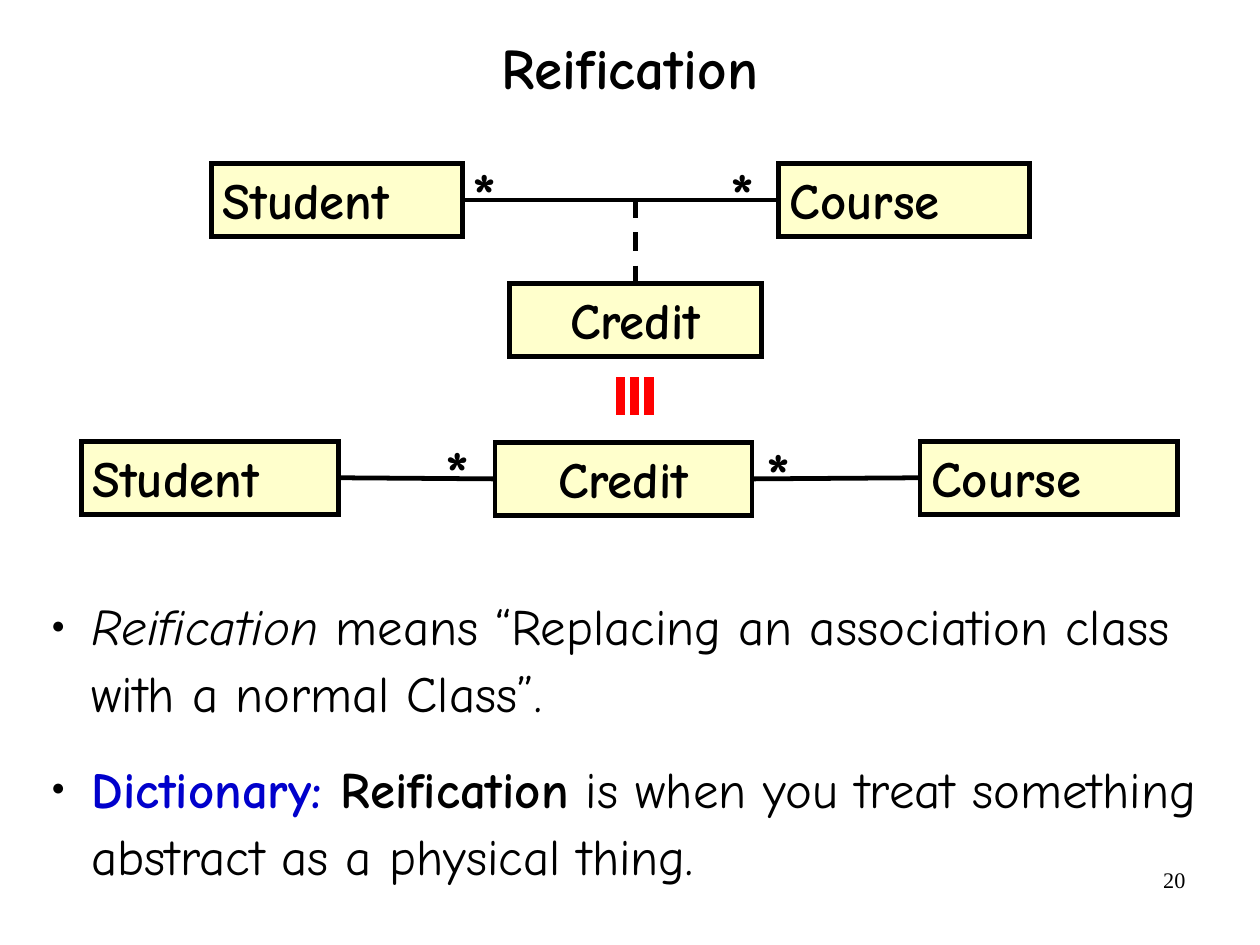
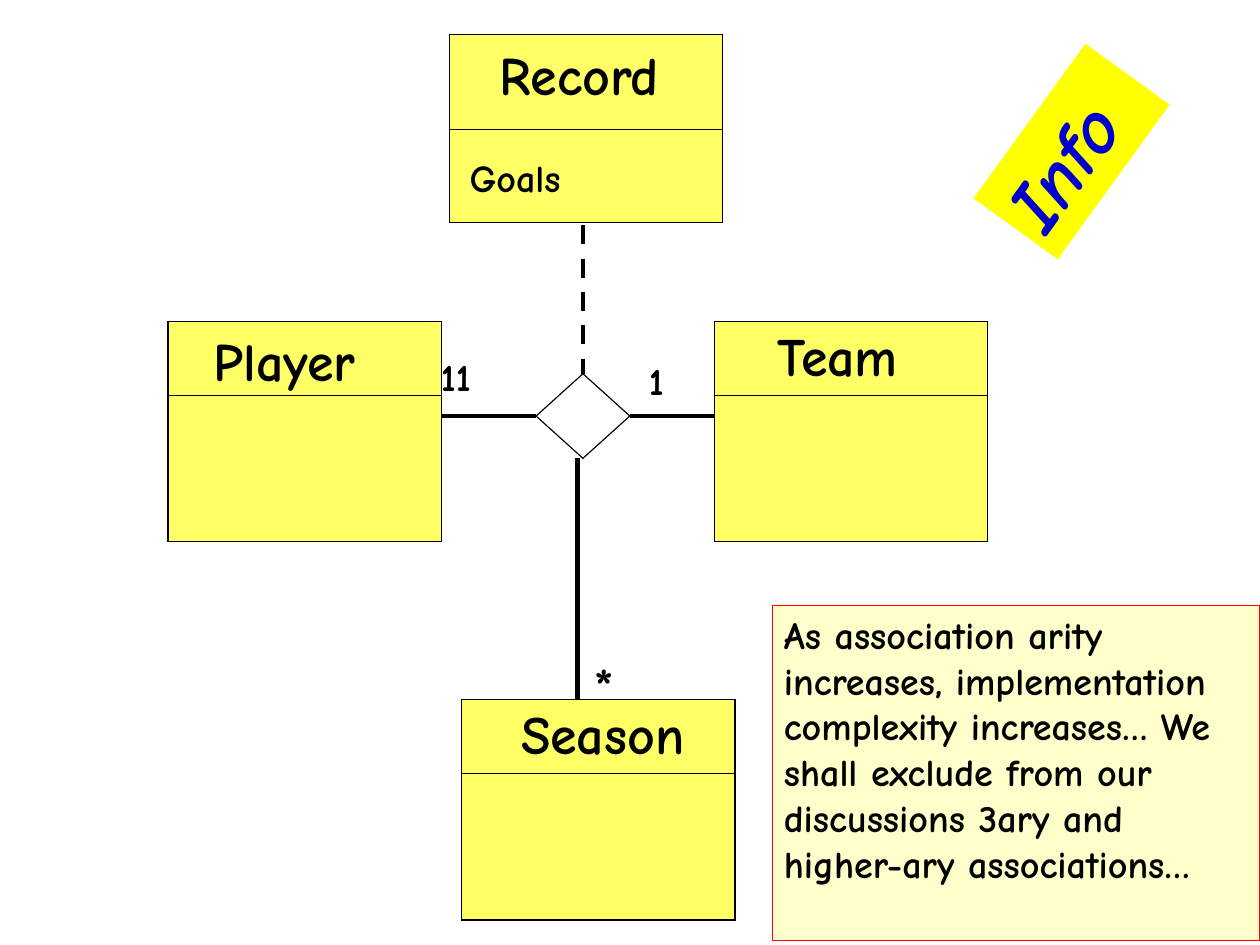
from dataclasses import dataclass

from lxml import etree
from pptx import Presentation
from pptx.dml.color import RGBColor
from pptx.enum.dml import MSO_LINE
from pptx.enum.shapes import MSO_CONNECTOR, MSO_SHAPE
from pptx.enum.text import MSO_ANCHOR, MSO_AUTO_SIZE, PP_ALIGN
from pptx.oxml.ns import qn
from pptx.util import Cm, Inches, Pt

LEFT, CENTER, RIGHT = PP_ALIGN.LEFT, PP_ALIGN.CENTER, PP_ALIGN.RIGHT
TOP, MIDDLE = MSO_ANCHOR.TOP, MSO_ANCHOR.MIDDLE
NO_FIT, GROW = MSO_AUTO_SIZE.NONE, MSO_AUTO_SIZE.SHAPE_TO_FIT_TEXT
RECT, DIAMOND = MSO_SHAPE.RECTANGLE, MSO_SHAPE.DIAMOND
STRAIGHT, DASH = MSO_CONNECTOR.STRAIGHT, MSO_LINE.DASH
SIDE_TOP, SIDE_LEFT, SIDE_BOTTOM, SIDE_RIGHT = range(4)
TITLE_AND_CONTENT, BLANK = 1, 6


@dataclass(frozen=True)
class Theme:
    font: str = "Comic Neue"
    number_font: str = "Times New Roman"
    black: str = "000000"
    blue: str = "0000CC"
    red: str = "FF0000"
    cream: str = "FFFFCC"
    class_fill: str = "FFFF66"
    badge_fill: str = "FFFF00"
    title: int = 36
    body: int = 32
    star: int = 40
    class_name: int = 34
    label: int = 24
    badge: int = 48
    number: int = 14
    thin: float = 0.75
    thick: float = 3
    bar: float = 6


T = Theme()


# Text
def style(font, size, color=T.black, bold=True, italic=False, name=T.font):
    font.name, font.size = name, Pt(size)
    font.bold, font.italic = bold, italic
    font.color.rgb = RGBColor.from_string(color)


def set_insets(tf, x, y):
    tf.margin_left = tf.margin_right = Inches(x)
    tf.margin_top = tf.margin_bottom = Inches(y)


def write(sp, text, size, align=LEFT, spacing=None, wrap=True, fit=GROW,
          insets=(0.1, 0.05), anchor=TOP, **look):
    tf = sp.text_frame
    tf.text = text
    tf.word_wrap, tf.auto_size, tf.vertical_anchor = wrap, fit, anchor
    set_insets(tf, *insets)
    p = tf.paragraphs[0]
    p.alignment = align
    if spacing:
        p.line_spacing = spacing
    style(p.runs[0].font, size, **look)


def add_label(slide, box, text, size, **options):
    sp = slide.shapes.add_textbox(*map(Inches, box))
    write(sp, text, size, **options)


def place(sp, box):
    sp.left, sp.top, sp.width, sp.height = map(Inches, box)


def add_title(slide, text):
    sp = slide.shapes.title
    place(sp, (0.81, -0.06, 9.4, 1.37))
    write(sp, text, T.title, align=CENTER, spacing=0.88, fit=NO_FIT,
          insets=(0, 0), anchor=MIDDLE)


def set_bullet(p):
    pPr = p._p.get_or_add_pPr()
    pPr.set("marL", str(Inches(0.46)))
    pPr.set("indent", str(Inches(-0.35)))
    color = etree.SubElement(pPr, qn("a:buClr"))
    etree.SubElement(color, qn("a:srgbClr"), val=T.black)
    etree.SubElement(pPr, qn("a:buSzPct"), val="45000")
    etree.SubElement(pPr, qn("a:buChar"), char="●")


def add_bullets(slide, box, items):
    sp = slide.placeholders[1]
    place(sp, box)
    tf = sp.text_frame
    tf.word_wrap, tf.auto_size, tf.vertical_anchor = True, NO_FIT, TOP
    set_insets(tf, 0, 0)
    for i, (runs, after) in enumerate(items):
        p = tf.add_paragraph() if i else tf.paragraphs[0]
        set_bullet(p)
        p.line_spacing, p.space_before, p.space_after = 1.1, Pt(0), Pt(after)
        for text, look in runs:
            r = p.add_run()
            r.text = text
            style(r.font, T.body, **look)


# Shapes and lines
def add_box(slide, box, fill=None, line=T.black, width=T.thin, kind=RECT):
    sp = slide.shapes.add_shape(kind, *map(Inches, box))
    sp.shadow.inherit = False
    if fill:
        sp.fill.solid()
        sp.fill.fore_color.rgb = RGBColor.from_string(fill)
    else:
        sp.fill.background()
    if line:
        sp.line.color.rgb = RGBColor.from_string(line)
        sp.line.width = Pt(width)
        ln = sp._element.spPr.find(qn("a:ln"))
        etree.SubElement(ln, qn("a:miter"), lim="800000")
    else:
        sp.line.fill.background()
    return sp


def add_line(slide, start, end, width=T.thick, color=T.black, dash=None):
    """Each end is an (x, y) point or a (shape, side) joint."""
    ends = [(0, 0) if hasattr(a, "shape_id") else (a, b)
            for a, b in (start, end)]
    cx = slide.shapes.add_connector(
        STRAIGHT, *(Inches(v) for point in ends for v in point))
    for (target, side), join in ((start, cx.begin_connect),
                                 (end, cx.end_connect)):
        if hasattr(target, "shape_id"):
            join(target, side)
    cx.line.color.rgb = RGBColor.from_string(color)
    cx.line.width = Pt(width)
    if dash:
        cx.line.dash_style = dash
    etree.SubElement(cx._element.spPr, qn("a:effectLst"))


def add_entity(slide, name, x, y, w, align=LEFT):
    sp = add_box(slide, (x, y, w, 0.64), T.cream, width=T.thick)
    write(sp, name, T.body, align=align)
    return sp


def add_class(slide, name, box, divider, name_box):
    x, y, w, _ = box
    add_box(slide, box, T.class_fill)
    add_line(slide, (x, y + divider), (x + w, y + divider), T.thin)
    add_label(slide, name_box, name, T.class_name, wrap=False,
              insets=(0.11, 0.06))


# Slides
def build_reification(prs):
    slide = prs.slides.add_slide(prs.slide_layouts[TITLE_AND_CONTENT])
    add_title(slide, "Reification")
    add_label(slide, (7.9, 7.53, 2.57, 0.57), "20", T.number, align=RIGHT,
              fit=NO_FIT, bold=False, name=T.number_font)

    # Association class
    student = add_entity(slide, "Student", 1.85, 1.43, 2.2)
    course = add_entity(slide, "Course", 6.81, 1.43, 2.2)
    credit = add_entity(slide, "Credit", 4.46, 2.48, 2.2, CENTER)
    add_line(slide, (student, SIDE_RIGHT), (course, SIDE_LEFT))
    add_line(slide, (5.56, 1.74), (credit, SIDE_TOP), dash=DASH)

    # Equivalence sign
    for x in (5.43, 5.55, 5.68):
        add_line(slide, (x, 3.3), (x, 3.63), T.bar, T.red)

    # Normal class
    student = add_entity(slide, "Student", 0.71, 3.86, 2.25)
    course = add_entity(slide, "Course", 8.05, 3.86, 2.25)
    credit = add_entity(slide, "Credit", 4.33, 3.87, 2.25, CENTER)
    add_line(slide, (student, SIDE_RIGHT), (credit, SIDE_LEFT))
    add_line(slide, (credit, SIDE_RIGHT), (course, SIDE_LEFT))

    # Multiplicities
    for x, y in ((4.04, 1.31), (6.29, 1.31), (3.8, 3.74), (6.61, 3.76)):
        add_label(slide, (x, y, 0.4, 0.77), "*", T.star)

    plain = {"bold": False}
    add_bullets(slide, (0.34, 5.15, 10.25, 2.34), [
        ([("Reification ", {"bold": False, "italic": True}),
          ("means “Replacing an association class with a normal Class”.",
           plain)], 18),
        ([("Dictionary: ", {"color": T.blue}),
          ("Reification", {}),
          (" is when you treat something abstract as a physical thing.",
           plain)], 13.8),
    ])


def build_ternary(prs):
    slide = prs.slides.add_slide(prs.slide_layouts[BLANK])

    # Classes
    w, h, divider = 2.39, 1.93, 0.65
    add_class(slide, "Player", (1.47, 2.81, w, h), divider,
              (1.76, 2.81, 1.61, 0.68))
    add_class(slide, "Season", (4.04, 6.12, w, h), divider,
              (4.45, 6.07, 1.8, 0.68))
    add_class(slide, "Team", (6.25, 2.81, w, h), divider,
              (6.69, 2.76, 1.44, 0.68))
    add_class(slide, "Record", (3.93, 0.3, w, 1.65), 0.83,
              (4.26, 0.3, 1.78, 0.68))
    add_label(slide, (4.01, 1.38, 2.33, 0.43), "Goals", T.label, spacing=0.8)

    # Ternary association
    hub = add_box(slide, (4.69, 3.27, 0.82, 0.74), kind=DIAMOND)
    add_line(slide, (hub, SIDE_RIGHT), (6.25, 3.64))
    add_line(slide, (hub, SIDE_LEFT), (3.86, 3.64))
    add_line(slide, (5.05, 4.01), (5.05, 6.12))
    add_line(slide, (5.1, 1.97), (hub, SIDE_TOP), dash=DASH)

    # Multiplicities
    for text, box, size in (("11", (3.76, 3.1, 0.61, 0.45), T.label),
                            ("1", (5.58, 3.13, 0.4, 0.45), T.label),
                            ("*", (5.1, 5.74, 0.43, 0.56), T.body)):
        add_label(slide, box, text, size, spacing=0.87, wrap=False)

    # Note and badge
    note = add_box(slide, (6.76, 5.3, 4.26, 2.93), T.cream, T.red)
    write(note, "As association arity increases, implementation complexity "
          "increases… We shall exclude from our discussions 3ary and "
          "higher-ary associations…", T.label, fit=NO_FIT)
    badge = add_box(slide, (8.54, 0.87, 1.67, 0.91), T.badge_fill, None)
    badge.rotation = 305.9
    write(badge, "Info", T.badge, color=T.blue, italic=True)


def main():
    prs = Presentation()
    prs.slide_width, prs.slide_height = Cm(28), Cm(21)
    build_reification(prs)
    build_ternary(prs)
    prs.save("out.pptx")


if __name__ == "__main__":
    main()
